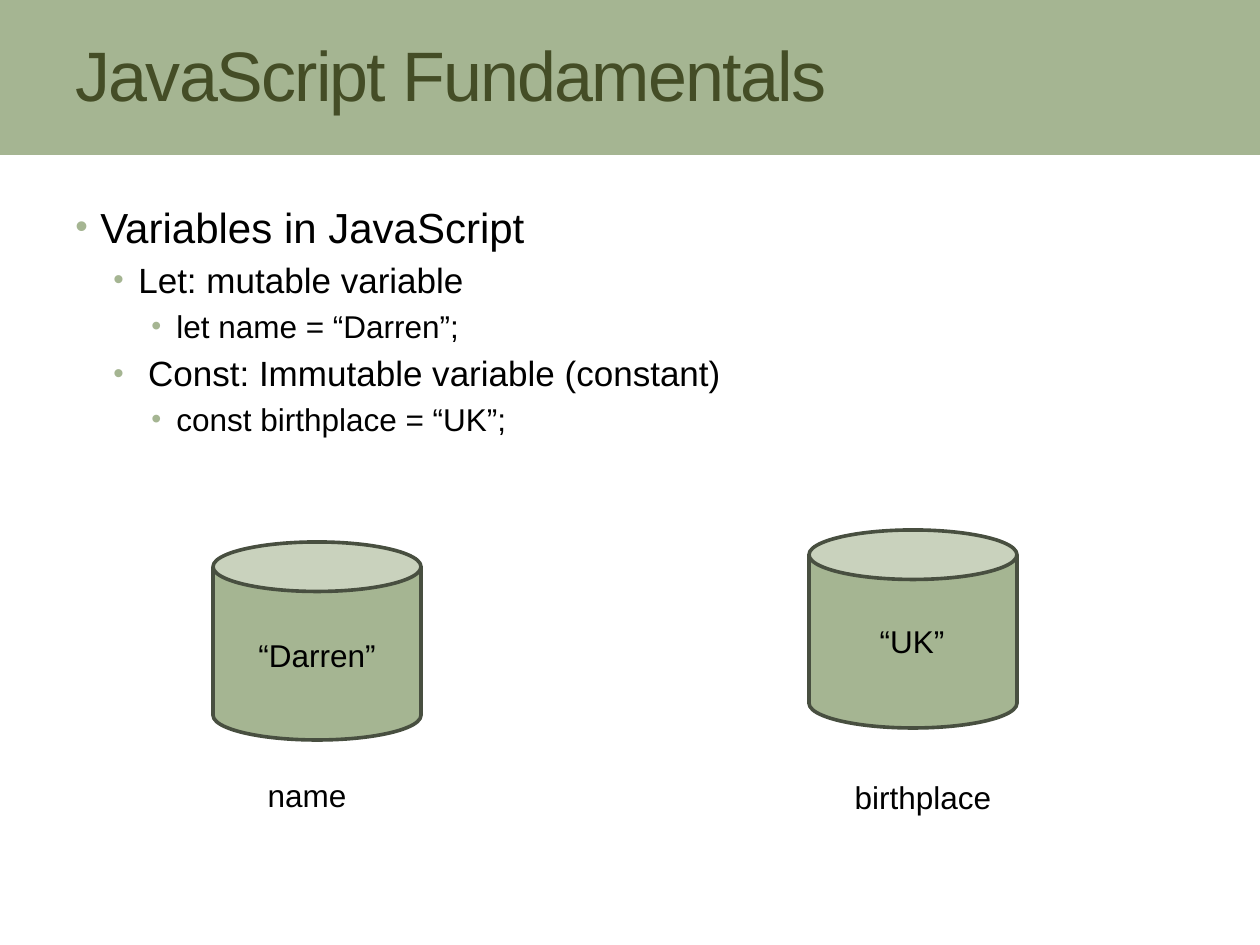
from lxml.etree import SubElement
from pptx import Presentation
from pptx.dml.color import RGBColor
from pptx.enum.shapes import MSO_SHAPE as SHAPE
from pptx.enum.text import MSO_ANCHOR as ANCHOR, MSO_AUTO_SIZE as AUTO, PP_ALIGN as ALIGN
from pptx.oxml.ns import qn
from pptx.util import Pt

SCALE = 914400 / 126
GREEN, OLIVE, OUTLINE, BLACK, WHITE = "A5B592", "444D26", "484F40", "000000", "FFFFFF"
BULLETS = [
    (0, "Variables in JavaScript"),
    (1, "Let: mutable variable"),
    (2, "let name = “Darren”;"),
    (1, " Const: Immutable variable (constant)"),
    (2, "const birthplace = “UK”;"),
]
LEVELS = [(24, 25, 85), (20, 63, 85), (18, 101, 90)]  # pt, indent px, bullet %
HANGING = 25
VARIABLES = [
    # can, value and name positions
    ("“Darren”", "name", (213, 542), (213, 630), (203, 770)),
    ("“UK”", "birthplace", (809, 530), (808, 616), (819, 772)),
]


def px(n):
    return round(n * SCALE)


def rgb(value):
    return RGBColor.from_string(value)


def set_all(obj, **values):
    for name, value in values.items():
        setattr(obj, name, value)


def place(sp, left, top, width, height):
    set_all(sp, left=px(left), top=px(top), width=px(width), height=px(height))


def add_run(p, text, size, color=BLACK):
    r = p.add_run()
    r.text = text
    set_all(r.font, name="Arial", size=Pt(size))
    r.font.color.rgb = rgb(color)
    return r


def add_shape(s, kind, box, fill, line=None):
    sp = s.shapes.add_shape(kind, *map(px, box))
    sp.shadow.inherit = False
    sp.fill.solid()
    sp.fill.fore_color.rgb = rgb(fill)
    if line:
        sp.line.color.rgb = rgb(line)
        sp.line.width = Pt(2.08)
    else:
        sp.line.fill.background()


def add_label(s, text, left, top):
    tf = s.shapes.add_textbox(*map(px, (left, top, 208, 50))).text_frame
    set_all(tf, word_wrap=True, auto_size=AUTO.SHAPE_TO_FIT_TEXT)
    p = tf.paragraphs[0]
    p.alignment = ALIGN.CENTER
    add_run(p, text, 18)


def add_title(s, text):
    title = s.shapes.title
    s.shapes.element.append(title.element)  # in front of the bands
    place(title, 63, 6, 1134, 136)
    tf = title.text_frame
    set_all(tf, vertical_anchor=ANCHOR.MIDDLE, auto_size=AUTO.NONE)
    p = tf.paragraphs[0]
    p.alignment = ALIGN.LEFT
    r = add_run(p, text, 40, OLIVE)
    r.font.element.set("spc", "-100") if hasattr(r.font, "element") else r._r.get_or_add_rPr().set("spc", "-100")


def set_bullet(p, indent, percent):
    pPr = p._p.get_or_add_pPr()
    pPr.set("marL", str(px(indent)))
    pPr.set("indent", str(-px(HANGING)))
    color = SubElement(pPr, qn("a:buClr"))
    SubElement(color, qn("a:srgbClr"), val=GREEN)
    SubElement(pPr, qn("a:buSzPct"), val=str(percent * 1000))
    SubElement(pPr, qn("a:buFont"), typeface="Arial")
    SubElement(pPr, qn("a:buChar"), char="•")


def add_bullets(s, items):
    tf = s.shapes.add_textbox(*map(px, (63, 195, 1134, 672))).text_frame
    tf.word_wrap = True
    for i, (level, text) in enumerate(items):
        p = tf.add_paragraph() if i else tf.paragraphs[0]
        size, indent, percent = LEVELS[level]
        set_all(p, level=level, space_before=Pt(size * 0.2))
        set_bullet(p, indent, percent)
        add_run(p, text, size)


def main():
    prs = Presentation()
    set_all(prs, slide_width=px(1260), slide_height=px(945))
    s = prs.slides.add_slide(prs.slide_layouts[5])
    add_shape(s, SHAPE.RECTANGLE, (0, -4, 1260, 159), GREEN)
    add_shape(s, SHAPE.RECTANGLE, (0, 155, 1260, 31), WHITE)
    add_title(s, "JavaScript Fundamentals")
    add_bullets(s, BULLETS)
    for value, name, can_at, value_at, name_at in VARIABLES:
        add_shape(s, SHAPE.CAN, (*can_at, 208, 198), GREEN, OUTLINE)
        add_label(s, value, *value_at)
        add_label(s, name, *name_at)
    prs.save("out.pptx")


if __name__ == "__main__":
    main()
